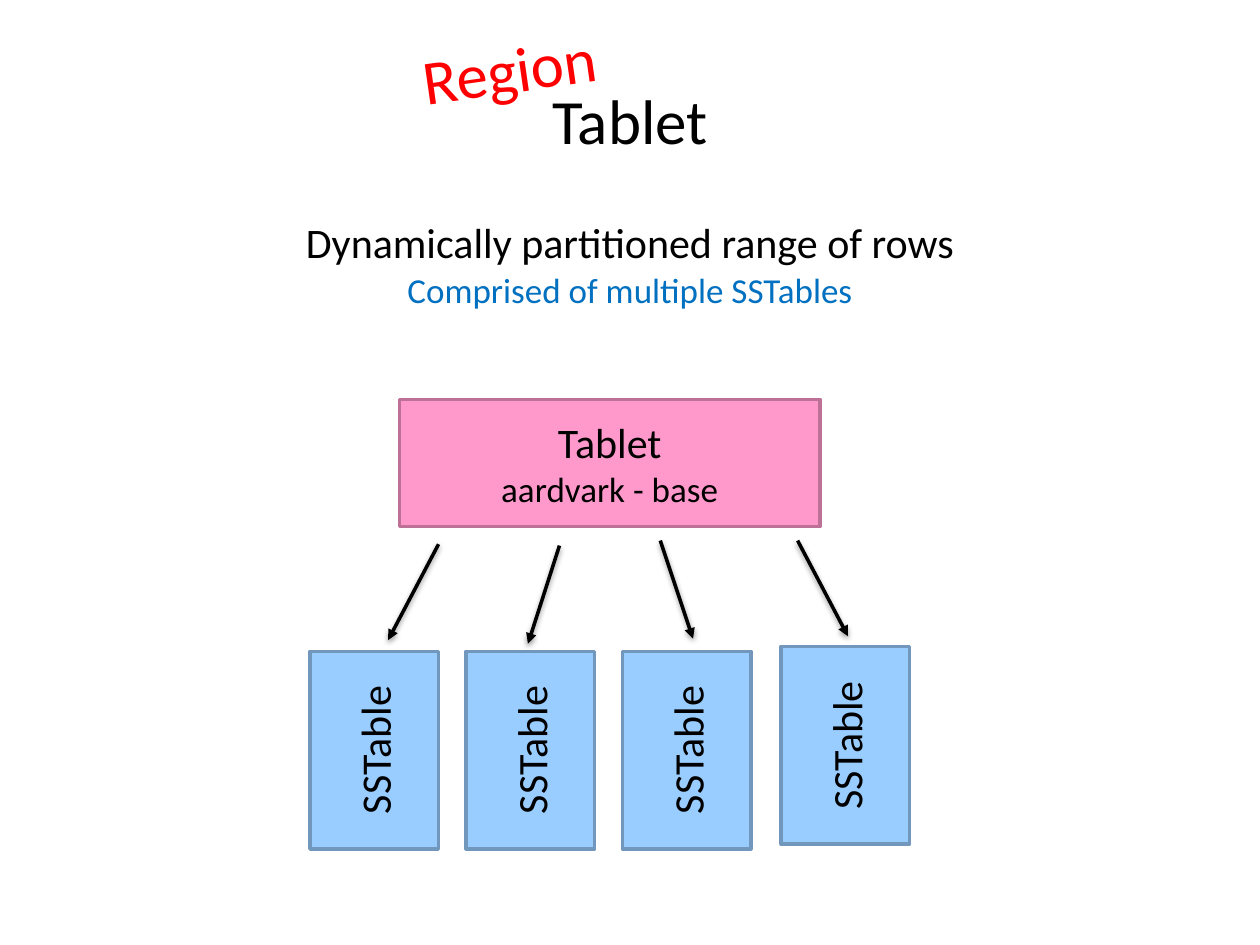
"""Build a slide showing a tablet made up of several SSTables."""
from lxml import etree
from pptx import Presentation
from pptx.dml.color import RGBColor
from pptx.enum.shapes import MSO_CONNECTOR, MSO_SHAPE
from pptx.enum.text import MSO_ANCHOR, MSO_AUTO_SIZE, PP_ALIGN
from pptx.oxml import parse_xml
from pptx.oxml.ns import nsdecls, qn
from pptx.util import Pt

BLACK = RGBColor(0x00, 0x00, 0x00)
RED = RGBColor(0xFF, 0x00, 0x00)
BLUE = RGBColor(0x00, 0x70, 0xC0)
PINK = RGBColor(0xFF, 0x99, 0xCC)
PINK_EDGE = RGBColor(0xBD, 0x71, 0x97)
SKY = RGBColor(0x99, 0xCC, 0xFF)
SKY_EDGE = RGBColor(0x71, 0x97, 0xBD)

ARROW_SHADOW = (
    f'<a:effectLst {nsdecls("a")}>'
    '<a:outerShdw blurRad="40000" dist="20000" dir="5400000" rotWithShape="0">'
    '<a:srgbClr val="000000"><a:alpha val="38000"/></a:srgbClr>'
    '</a:outerShdw></a:effectLst>'
)


def write_lines(shape, lines, anchor):
    frame = shape.text_frame
    frame.word_wrap = True
    frame.auto_size = MSO_AUTO_SIZE.NONE
    frame.vertical_anchor = anchor
    frame.text = "\n".join(text for text, size, color in lines)
    for paragraph, (text, size, color) in zip(frame.paragraphs, lines):
        paragraph.alignment = PP_ALIGN.CENTER
        paragraph.font.name = "Calibri"
        paragraph.font.size = Pt(size)
        paragraph.font.color.rgb = color


def add_block(page, left, top, width, height, fill, edge, lines):
    block = page.shapes.add_shape(
        MSO_SHAPE.RECTANGLE, Pt(left), Pt(top), Pt(width), Pt(height))
    block.shadow.inherit = False
    block.fill.solid()
    block.fill.fore_color.rgb = fill
    block.line.color.rgb = edge
    block.line.width = Pt(2)
    write_lines(block, lines, MSO_ANCHOR.MIDDLE)
    return block


deck = Presentation()
deck.slide_width, deck.slide_height = Pt(720), Pt(540)
page = deck.slides.add_slide(deck.slide_layouts[5])

title = page.shapes.title
title.left, title.top, title.width, title.height = Pt(0), Pt(43.2), Pt(720), Pt(54)
write_lines(title, [("Tablet", 36, BLACK)], MSO_ANCHOR.TOP)

for text, size, color, left, top, width, height, rotation in [
    ("Dynamically partitioned range of rows", 24, BLACK, 0, 120.2, 720, 36, 0),
    ("Comprised of multiple SSTables", 20, BLUE, 0, 149.8, 720, 31.7, 0),
    ("Region", 36, RED, 225.4, 13.7, 131.8, 54, 351.9),
]:
    box = page.shapes.add_textbox(Pt(left), Pt(top), Pt(width), Pt(height))
    box.rotation = rotation
    write_lines(box, [(text, size, color)], MSO_ANCHOR.TOP)

add_block(page, 228.2, 228.2, 240.5, 72.7, PINK, PINK_EDGE,
          [("Tablet", 24, BLACK), ("aardvark - base", 20, BLACK)])

for left, top in [(177.1, 372.2), (266.4, 372.2), (355.7, 372.2), (446.4, 369.4)]:
    table_block = add_block(page, left, top, 73.4, 113, SKY, SKY_EDGE,
                            [("SSTable", 24, BLACK)])
    table_block.text_frame._txBody.bodyPr.set("vert", "vert270")

for start_x, start_y, end_x, end_y in [
    (250.6, 311, 221.8, 365.8),
    (319.7, 311.8, 301.7, 367.9),
    (377.3, 308.9, 396, 365),
    (455.8, 308.9, 484.6, 363.6),
]:
    arrow = page.shapes.add_connector(
        MSO_CONNECTOR.STRAIGHT, Pt(start_x), Pt(start_y), Pt(end_x), Pt(end_y))
    arrow.line.color.rgb = BLACK
    arrow.line.width = Pt(2)
    etree.SubElement(arrow.line._get_or_add_ln(), qn("a:tailEnd"), type="triangle")
    arrow._element.spPr.append(parse_xml(ARROW_SHADOW))

deck.save("out.pptx")
